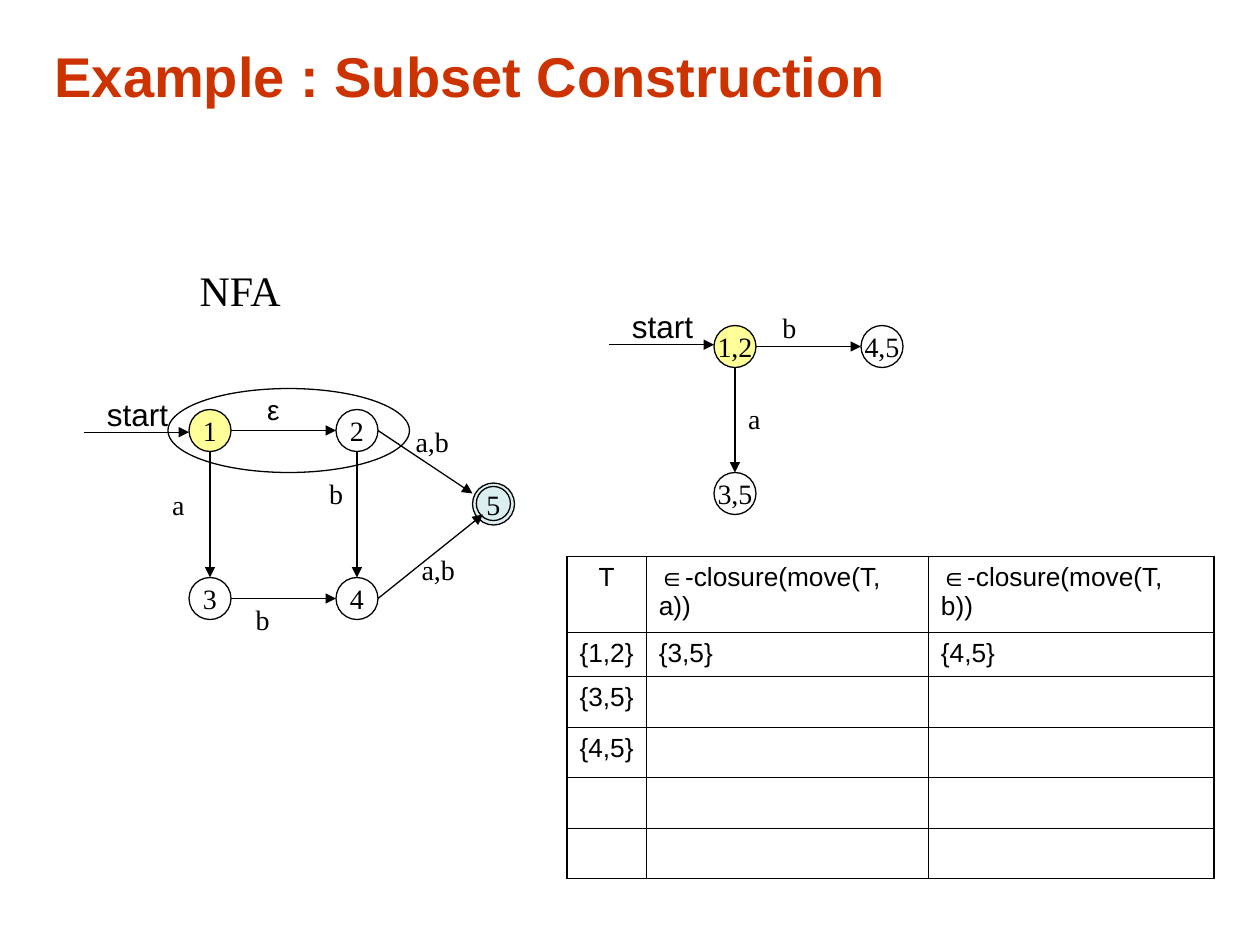
from lxml import etree
from pptx import Presentation
from pptx.dml.color import RGBColor
from pptx.enum import shapes, text
from pptx.oxml.ns import qn
from pptx.util import Pt

BLACK, WHITE, YELLOW, TEAL = "000000", "FFFFFF", "FFFF99", "BBE0E3"
SERIF, SANS = "Times New Roman", "Arial"
NODE = 24
THIN, THICK = 0.45, 1.08


def color(value):
    """Turn a hex string into a colour."""
    return RGBColor.from_string(value)


def style(paragraph, size, face, ink=BLACK, bold=False, align=text.PP_ALIGN.LEFT):
    """Format a paragraph and its runs."""
    paragraph.alignment = align
    for run in paragraph.runs:
        run.font.size = Pt(size)
        run.font.name = face
        run.font.bold = bold
        run.font.color.rgb = color(ink)


def add_heading(slide, words):
    """Place and format the slide title."""
    title = slide.shapes.title
    title.left, title.top, title.width, title.height = Pt(24), Pt(18), Pt(677), Pt(50)
    title.text_frame.text = words
    title.text_frame.vertical_anchor = text.MSO_ANCHOR.MIDDLE
    style(title.text_frame.paragraphs[0], 32, SANS, "CC3300", True)


def add_label(slide, words, left, top, width, height=26.5, size=16, face=SERIF,
              align=text.PP_ALIGN.CENTER):
    """Write an unwrapped label."""
    label = slide.shapes.add_textbox(Pt(left), Pt(top), Pt(width), Pt(height))
    frame = label.text_frame
    frame.text = words
    frame.word_wrap = False
    frame.auto_size = text.MSO_AUTO_SIZE.SHAPE_TO_FIT_TEXT
    style(frame.paragraphs[0], size, face, align=align)


def add_oval(slide, left, top, width, height, fill=None, opacity=100):
    """Draw a thinly outlined oval."""
    oval = slide.shapes.add_shape(
        shapes.MSO_SHAPE.OVAL, Pt(left), Pt(top), Pt(width), Pt(height))
    oval.shadow.inherit = False
    oval.line.color.rgb = color(BLACK)
    oval.line.width = Pt(0.75)
    if fill is None:
        oval.fill.background()
        return oval
    oval.fill.solid()
    oval.fill.fore_color.rgb = color(fill)
    if opacity < 100:
        tint = oval.fill._xPr.find(qn("a:solidFill"))[0]
        etree.SubElement(tint, qn("a:alpha"), val=str(opacity * 1000))
    return oval


def add_state(slide, name, left, top, fill=None, opacity=100):
    """Draw an automaton state with its name."""
    frame = add_oval(slide, left, top, NODE, NODE, fill, opacity).text_frame
    frame.text = name
    frame.word_wrap = False
    frame.vertical_anchor = text.MSO_ANCHOR.MIDDLE
    style(frame.paragraphs[0], 16, SERIF, align=text.PP_ALIGN.CENTER)


def add_arrow(slide, x1, y1, x2, y2):
    """Draw a transition arrow."""
    arrow = slide.shapes.add_connector(
        shapes.MSO_CONNECTOR.STRAIGHT, Pt(x1), Pt(y1), Pt(x2), Pt(y2))
    arrow.line.color.rgb = color(BLACK)
    arrow.line.width = Pt(0.75)
    etree.SubElement(arrow.line._get_or_add_ln(), qn("a:tailEnd"), type="triangle")
    etree.SubElement(arrow._element.spPr, qn("a:effectLst"))


def add_start(slide, left, top):
    """Draw the labelled arrow into a start state."""
    add_arrow(slide, left, top, left + 60, top)
    add_label(slide, "start", left + 6, top - 25, 52, 29, 18, SANS, text.PP_ALIGN.LEFT)


def set_borders(cell, widths):
    """Set the left, right, top and bottom borders of a cell."""
    properties = cell._tc.get_or_add_tcPr()
    for place, (side, width) in enumerate(zip("LRTB", widths)):
        border = etree.Element(qn(f"a:ln{side}"), w=str(int(Pt(width))))
        ink = etree.SubElement(border, qn("a:solidFill"))
        etree.SubElement(ink, qn("a:srgbClr"), val=BLACK)
        properties.insert(place, border)


def add_closure_table(slide):
    """Build the subset construction table."""
    rows = [
        ["T", "∈-closure(move(T, a))", "∈-closure(move(T, b))"],
        ["{1,2}", "{3,5}", "{4,5}"],
        ["{3,5}", "", ""],
        ["{4,5}", "", ""],
        ["", "", ""],
        ["", "", ""],
    ]
    widths, heights = [45.3, 161.2, 163.3], [43.5, 25.2] + [28.8] * 4
    table = slide.shapes.add_table(
        len(rows), len(widths), Pt(324), Pt(318), Pt(sum(widths)), Pt(sum(heights))).table
    table.first_row = table.horz_banding = False
    for column, width in zip(table.columns, widths):
        column.width = Pt(width)
    for r, (values, height) in enumerate(zip(rows, heights)):
        table.rows[r].height = Pt(height)
        for c, value in enumerate(values):
            cell = table.cell(r, c)
            cell.fill.background()
            edges = (c == 0, c == len(widths) - 1, r == 0, r == len(rows) - 1)
            set_borders(cell, [THICK if edge else THIN for edge in edges])
            if value:
                cell.text_frame.text = value
                head = r == c == 0
                style(cell.text_frame.paragraphs[0], 15, SANS,
                      align=text.PP_ALIGN.CENTER if head else text.PP_ALIGN.LEFT)
            if r == 0 and c:
                cell.margin_right = Pt(14)


def add_dfa(slide):
    """Draw the deterministic automaton built so far."""
    add_state(slide, "1,2", 408, 186, YELLOW)
    add_state(slide, "4,5", 492, 186)
    add_state(slide, "3,5", 408, 270)
    add_arrow(slide, 432, 198, 492, 198)
    add_arrow(slide, 420, 210, 420, 270)
    add_label(slide, "b", 440, 174, 22)
    add_label(slide, "a", 420, 226, 22)
    add_start(slide, 348, 197)


def add_nfa(slide):
    """Draw the nondeterministic automaton."""
    add_label(slide, "NFA", 107, 147.5, 62, 36, 24, align=text.PP_ALIGN.LEFT)
    add_state(slide, "1", 108, 234, YELLOW)
    add_state(slide, "5", 270, 276, TEAL, 50)
    for name, left, top in [("2", 192, 234), ("4", 192, 330), ("3", 108, 330)]:
        add_state(slide, name, left, top, WHITE)
    for ends in [(132, 246, 192, 246), (204, 258, 204, 330), (120, 258, 120, 330),
                 (132, 342, 192, 342), (216, 342, 276, 294), (216, 246, 270, 282)]:
        add_arrow(slide, *ends)
    add_label(slide, "ε", 145.5, 220.5, 21, face=SANS)
    for symbol, left, top, width in [("b", 139, 340.5, 22), ("a", 91, 275, 22),
                                     ("b", 181, 268.5, 22), ("a,b", 229, 239, 36),
                                     ("a,b", 232.5, 312, 36)]:
        add_label(slide, symbol, left, top, width)
    add_oval(slide, 96, 222, 138, 48)
    add_start(slide, 48, 247)
    add_oval(slide, 272.2, 278, 19.5, 19.5)


def main():
    """Build and save the slide."""
    deck = Presentation()
    deck.slide_width, deck.slide_height = Pt(720), Pt(540)
    slide = deck.slides.add_slide(deck.slide_layouts[5])
    add_heading(slide, "Example : Subset Construction")
    add_dfa(slide)
    add_closure_table(slide)
    add_nfa(slide)
    deck.save("out.pptx")


if __name__ == "__main__":
    main()
